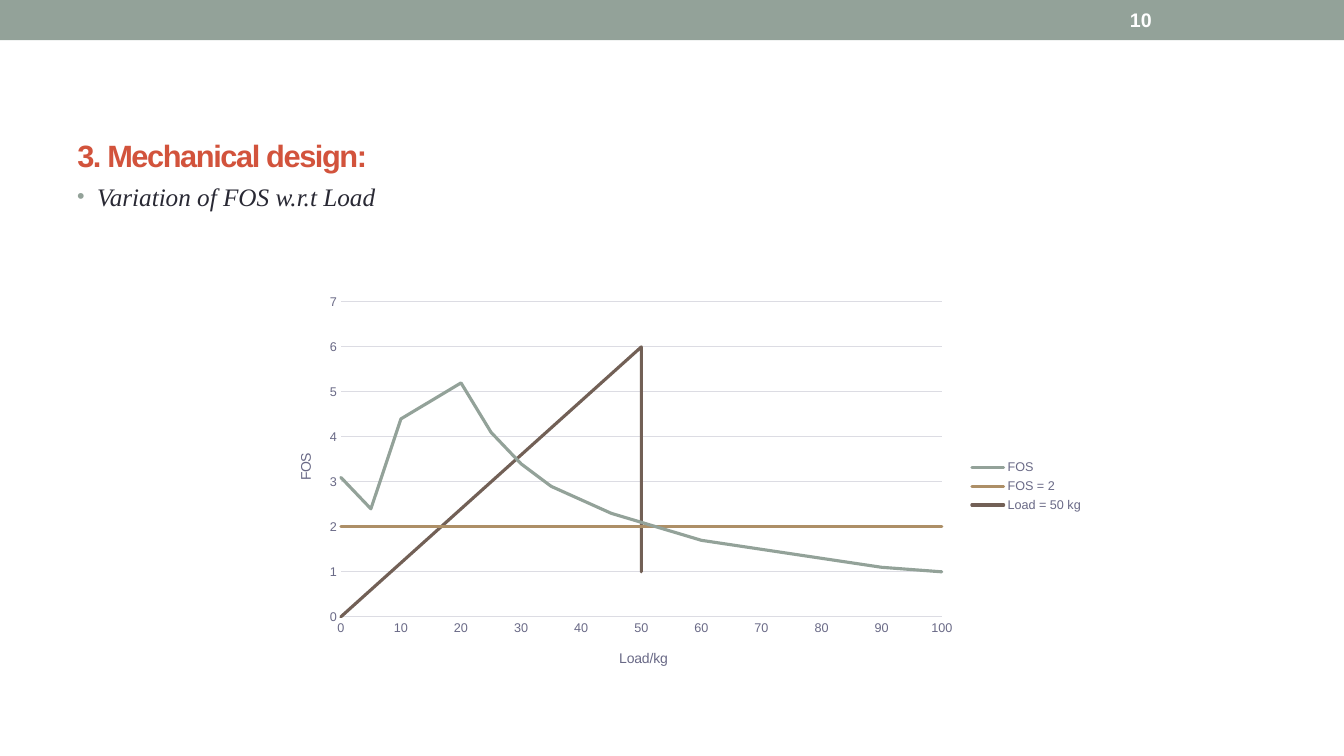
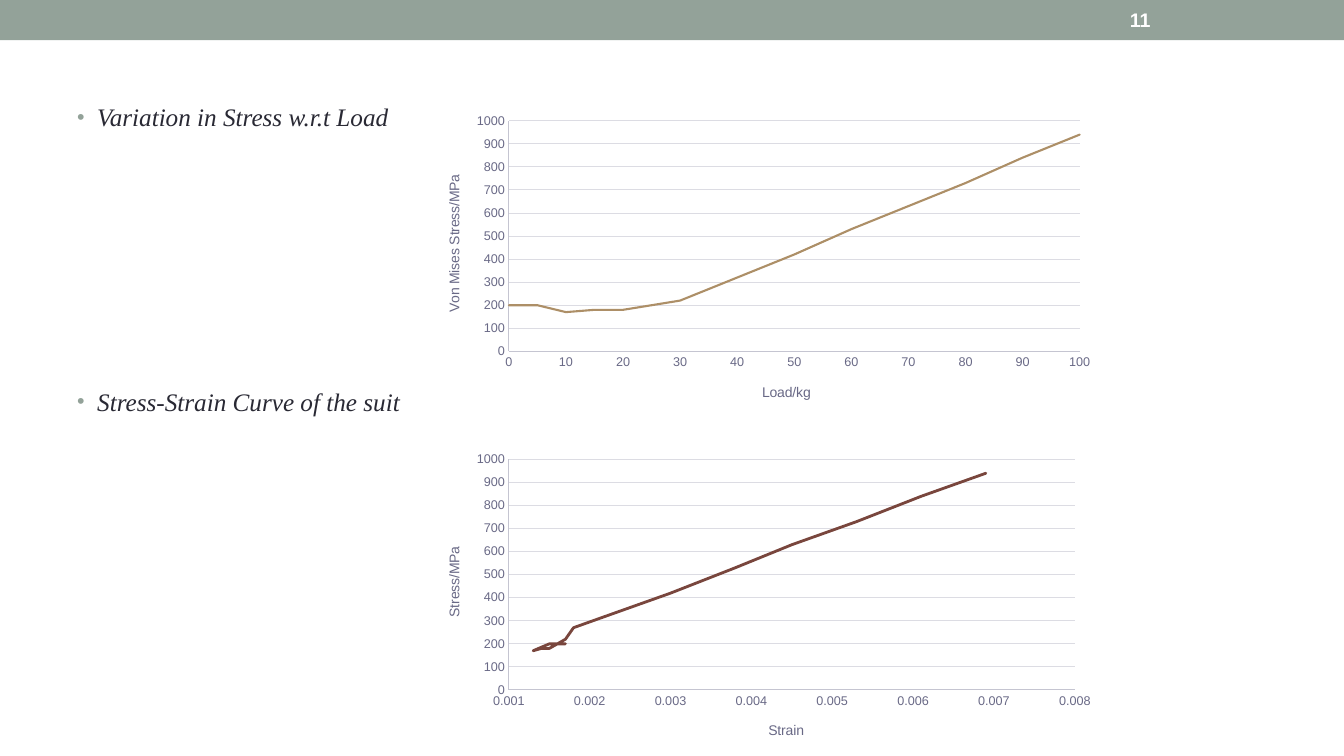
from dataclasses import dataclass
from typing import Optional

from lxml.etree import SubElement
from pptx import Presentation
from pptx.chart.data import XyChartData
from pptx.dml.color import RGBColor
from pptx.enum.chart import XL_CHART_TYPE as ChartType
from pptx.enum.chart import XL_LEGEND_POSITION as LegendPosition
from pptx.enum.chart import XL_TICK_MARK as TickMark
from pptx.enum.shapes import MSO_SHAPE as Preset
from pptx.enum.text import MSO_ANCHOR as Anchor
from pptx.enum.text import MSO_AUTO_SIZE as AutoSize
from pptx.enum.text import PP_ALIGN as Align
from pptx.oxml import parse_xml
from pptx.oxml.ns import nsdecls, qn
from pptx.util import Pt

COLORS = {
    "sage": "93A299",
    "rust": "D2533C",
    "ink": "292934",
    "label": "696986",
    "grid": "DCDCE3",
    "axis": "C5C5D1",
    "tan": "AD8F67",
    "brown": "726056",
    "maroon": "79463D",
    "white": "FFFFFF",
}
SANS = "Arial"
SERIF = "Times New Roman"
WIDTH, HEIGHT = 960, 540
BAND_HEIGHT = 28.8
LEFT, CONTENT_WIDTH = 48, 864
TITLE_ONLY, BLANK = 5, 6

LOADS = (*range(0, 50, 5), *range(50, 101, 10))
STRAINS = (0.0017, 0.0015, 0.0013, 0.0014, 0.0015, 0.0016, 0.0017, 0.0018,
           0.0022, 0.0026, 0.003, 0.0038, 0.0045, 0.0053, 0.0061, 0.0069)
STRESSES = (200, 200, 170, 180, 180, 200, 220, 270,
            320, 370, 420, 530, 630, 730, 840, 940)
SAFETY = (3.1, 2.4, 4.4, 4.8, 5.2, 4.1, 3.4, 2.9,
          2.6, 2.3, 2.1, 1.7, 1.5, 1.3, 1.1, 1)


@dataclass(frozen=True)
class Curve:
    name: str
    xs: tuple
    ys: tuple
    color: str
    weight: float


@dataclass(frozen=True)
class Axis:
    title: str
    title_at: tuple
    low: float
    high: float
    step: float
    line: Optional[str] = "axis"


@dataclass(frozen=True)
class Graph:
    frame: tuple
    plot: tuple
    x_axis: Axis
    y_axis: Axis
    curves: tuple
    legend: bool = False


@dataclass(frozen=True)
class Bullet:
    text: str
    space_before: float = 0


FOS_GRAPH = Graph(
    (193.5, 205.2, 587.5, 284.4),
    (50, 10.5, 429.3, 225),
    Axis("Load/kg", (247, 257), 0, 100, 10, "grid"),
    Axis("FOS", (16.5, 116.5), 0, 7, 1, None),
    (
        Curve("FOS", LOADS, SAFETY, "sage", 2.25),
        Curve("FOS = 2", LOADS, (2,) * len(LOADS), "tan", 2.25),
        Curve("Load = 50 kg", (50,) * 6 + (0,), (*range(1, 7), 0), "brown", 2.25),
    ),
    legend=True,
)
STRESS_GRAPH = Graph(
    (299.5, 76.3, 489.6, 221.8),
    (64, 10, 407.8, 164.7),
    Axis("Load/kg", (243, 195.5), 0, 100, 10),
    Axis("Von Mises Stress/MPa", (16.5, 46.5), 0, 1000, 100),
    (Curve("Series 1", LOADS, STRESSES, "tan", 1.5),),
)
STRAIN_GRAPH = Graph(
    (299.5, 318.2, 489.6, 221.8),
    (64, 10, 404.3, 164.7),
    Axis("Strain", (247.5, 195.5), 0.001, 0.008, 0.001),
    Axis("Stress/MPa", (16.5, 70.5), 0, 1000, 100),
    (Curve("Series 1", STRAINS, STRESSES, "maroon", 2),),
)


def rgb(name: str) -> RGBColor:
    return RGBColor.from_string(COLORS[name])


def style_font(font, face: str, size: float, color: str, bold=False, italic=False) -> None:
    font.name = face
    font.size = Pt(size)
    font.color.rgb = rgb(color)
    font.bold = bold
    font.italic = italic


def add_span(para, text: str, *style, **marks):
    span = para.add_run()
    span.text = text
    style_font(span.font, *style, **marks)
    return span


def add_box(page, left: float, top: float, width: float, height: float):
    box = page.shapes.add_textbox(Pt(left), Pt(top), Pt(width), Pt(height))
    box.text_frame.word_wrap = True
    return box.text_frame


def add_band(page, number: int) -> None:
    band = page.shapes.add_shape(Preset.RECTANGLE, 0, 0, Pt(WIDTH), Pt(BAND_HEIGHT))
    band.shadow.inherit = False
    band.fill.solid()
    band.fill.fore_color.rgb = rgb("sage")
    band.line.fill.background()
    frame = add_box(page, 800, 1.4, 112, 26)
    frame.vertical_anchor = Anchor.MIDDLE
    add_span(frame.paragraphs[0], str(number), SANS, 14, "white", bold=True)


def set_title(page, text: str) -> None:
    title = page.shapes.title
    title.left, title.top = Pt(LEFT), Pt(82)
    title.width, title.height = Pt(CONTENT_WIDTH), Pt(57)
    frame = title.text_frame
    frame.word_wrap = True
    frame.auto_size = AutoSize.NONE
    frame.vertical_anchor = Anchor.MIDDLE
    para = frame.paragraphs[0]
    para.alignment = Align.LEFT
    span = add_span(para, text, SANS, 22, "rust", bold=True)
    span.font._element.set("spc", "-100")


def add_bullets(page, top: float, height: float, *bullets: Bullet) -> None:
    frame = add_box(page, LEFT, top, CONTENT_WIDTH, height)
    for index, bullet in enumerate(bullets):
        para = frame.add_paragraph() if index else frame.paragraphs[0]
        if bullet.space_before:
            para.space_before = Pt(bullet.space_before)
        props = para._p.get_or_add_pPr()
        props.set("marL", str(Pt(14.4)))
        props.set("indent", str(-Pt(14.4)))
        color = SubElement(props, qn("a:buClr"))
        SubElement(color, qn("a:srgbClr"), val=COLORS["sage"])
        SubElement(props, qn("a:buSzPct"), val="85000")
        SubElement(props, qn("a:buFont"), typeface=SANS)
        SubElement(props, qn("a:buChar"), char="•")
        add_span(para, bullet.text, SERIF, 18, "ink", italic=True)


def place(element, index: int, graph: Graph, values: tuple, inner: bool = False) -> None:
    for old in element.findall(qn("c:layout")):
        element.remove(old)
    layout = parse_xml(f"<c:layout {nsdecls('c')}><c:manualLayout/></c:layout>")
    manual = layout[0]
    if inner:
        SubElement(manual, qn("c:layoutTarget"), val="inner")
    for key in ("xMode", "yMode"):
        SubElement(manual, qn(f"c:{key}"), val="edge")
    sizes = graph.frame[2:] * 2
    for key, value, size in zip("xywh", values, sizes):
        SubElement(manual, qn(f"c:{key}"), val=f"{value / size:.4f}")
    element.insert(index, layout)


def style_axis(axis, look: Axis, graph: Graph, upright: bool) -> None:
    axis.minimum_scale, axis.maximum_scale = look.low, look.high
    axis.major_unit = look.step
    axis.major_tick_mark = axis.minor_tick_mark = TickMark.NONE
    axis.has_major_gridlines = upright
    if upright:
        grid = axis.major_gridlines.format.line
        grid.color.rgb = rgb("grid")
        grid.width = Pt(0.75)
    style_font(axis.tick_labels.font, SANS, 9, "label")
    axis.tick_labels.number_format = "General"
    axis.tick_labels.number_format_is_linked = False
    line = axis.format.line
    if look.line:
        line.color.rgb = rgb(look.line)
        line.width = Pt(0.75)
    else:
        line.fill.background()
    title = axis.axis_title
    add_span(title.text_frame.paragraphs[0], look.title, SANS, 10, "label")
    if upright:
        for body in title._element.xpath(".//a:bodyPr"):
            body.set("rot", "-5400000")
            body.set("vert", "horz")
    place(title._element, 1, graph, look.title_at)


def add_graph(page, graph: Graph) -> None:
    data = XyChartData()
    for curve in graph.curves:
        series = data.add_series(curve.name)
        for x, y in zip(curve.xs, curve.ys):
            series.add_data_point(x, y)
    chart = page.shapes.add_chart(
        ChartType.XY_SCATTER_SMOOTH_NO_MARKERS, *map(Pt, graph.frame), data).chart
    style_font(chart.font, SANS, 10, "ink")
    chart.has_title = False
    chart.has_legend = graph.legend
    if graph.legend:
        chart.legend.position = LegendPosition.RIGHT
        chart.legend.include_in_layout = False
        style_font(chart.legend.font, SANS, 9, "label")
    plot = chart.plots[0]
    plot.vary_by_categories = False
    for series, curve in zip(plot.series, graph.curves):
        series.smooth = True
        series.format.line.color.rgb = rgb(curve.color)
        series.format.line.width = Pt(curve.weight)
        for line in series._element.xpath("c:spPr/a:ln"):
            line.set("cap", "rnd")
    style_axis(chart.category_axis, graph.x_axis, graph, upright=False)
    style_axis(chart.value_axis, graph.y_axis, graph, upright=True)
    area = chart._chartSpace.xpath("c:chart/c:plotArea")[0]
    place(area, 0, graph, graph.plot, inner=True)


def add_page(deck, layout: int, number: int):
    page = deck.slides.add_slide(deck.slide_layouts[layout])
    add_band(page, number)
    return page


def main() -> None:
    deck = Presentation()
    deck.slide_width, deck.slide_height = Pt(WIDTH), Pt(HEIGHT)

    page = add_page(deck, TITLE_ONLY, 10)
    set_title(page, "3. Mechanical design:")
    add_bullets(page, 126, 384, Bullet("Variation of FOS w.r.t Load"))
    add_graph(page, FOS_GRAPH)

    page = add_page(deck, BLANK, 11)
    add_bullets(page, 69, 429,
                Bullet("Variation in Stress w.r.t Load"),
                Bullet("Stress-Strain Curve of the suit", 181.5))
    add_graph(page, STRESS_GRAPH)
    add_graph(page, STRAIN_GRAPH)

    deck.save("out.pptx")


if __name__ == "__main__":
    main()
